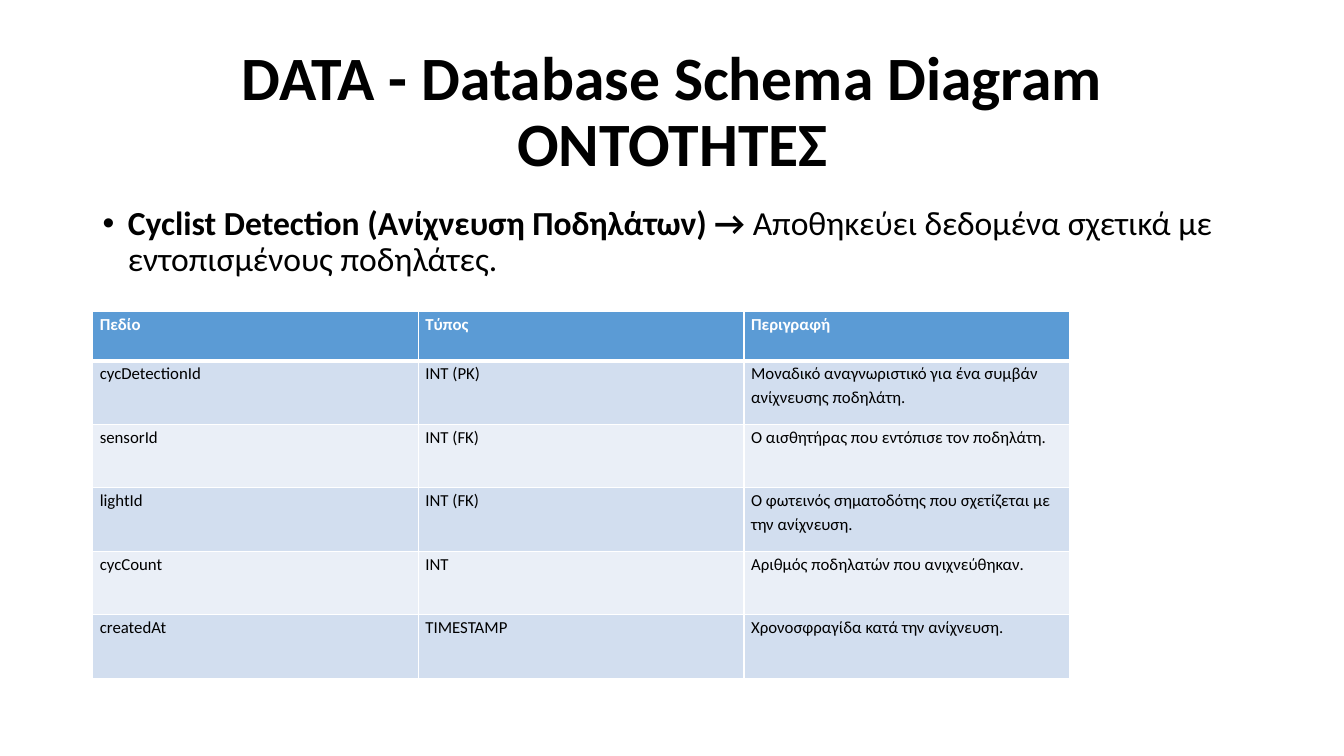
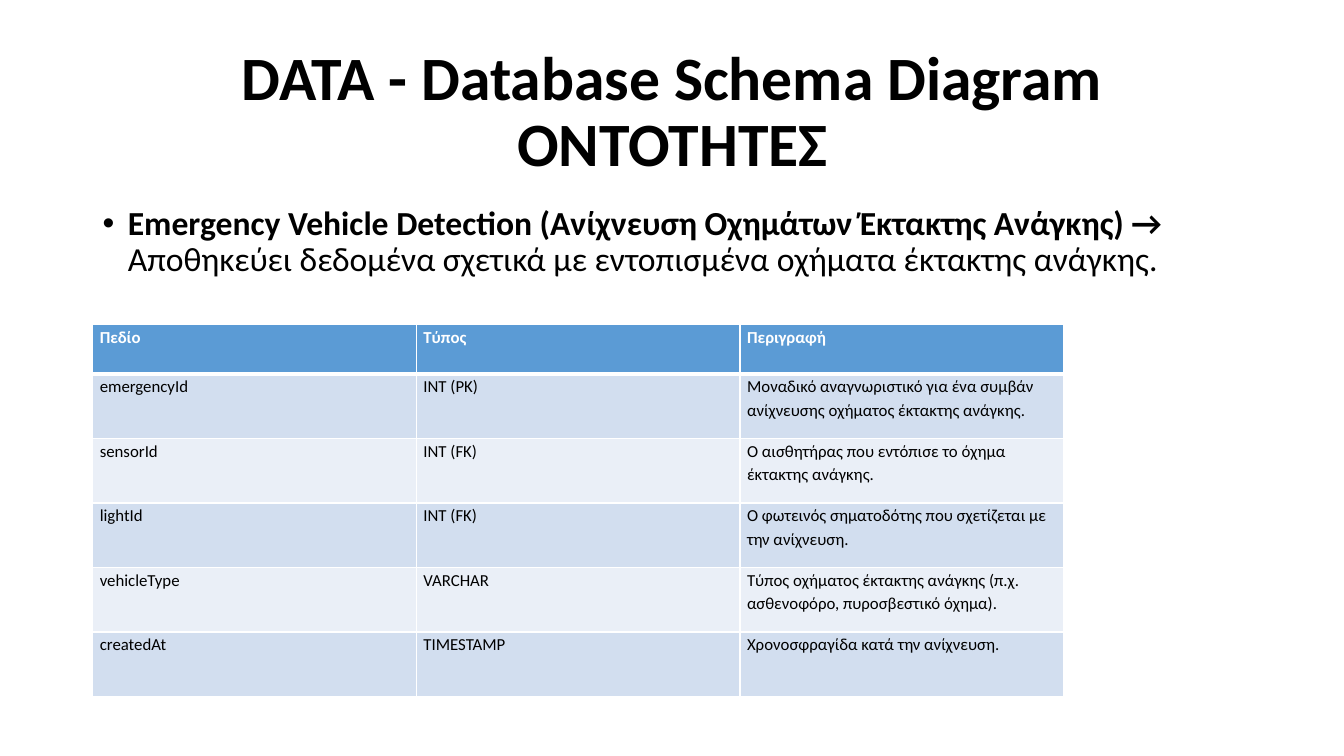
from dataclasses import dataclass

from lxml import etree
from pptx import Presentation
from pptx import util as u
from pptx.dml.color import RGBColor
from pptx.enum import text
from pptx.oxml import ns

TITLE = ("DATA - Database Schema Diagram", "ΟΝΤΟΤΗΤΕΣ")
HEADER = ("Πεδίο", "Τύπος", "Περιγραφή")
LIGHT_ROW = ("lightId", "INT (FK)", "Ο φωτεινός σηματοδότης που σχετίζεται με την ανίχνευση.")
CREATED_ROW = ("createdAt", "TIMESTAMP", "Χρονοσφραγίδα κατά την ανίχνευση.")

ENTITIES = [
    {
        "name": "Cyclist Detection (Ανίχνευση Ποδηλάτων) → ",
        "purpose": "Αποθηκεύει δεδομένα σχετικά με εντοπισμένους ποδηλάτες.",
        "table_top": 3.09, "column": 3.23, "row": 0.63,
        "fields": [
            ("cycDetectionId", "INT (PK)",
             "Μοναδικό αναγνωριστικό για ένα συμβάν ανίχνευσης ποδηλάτη."),
            ("sensorId", "INT (FK)", "Ο αισθητήρας που εντόπισε τον ποδηλάτη."),
            LIGHT_ROW,
            ("cycCount", "INT", "Αριθμός ποδηλατών που ανιχνεύθηκαν."),
            CREATED_ROW,
        ],
    },
    {
        "name": "Emergency Vehicle Detection (Ανίχνευση Οχημάτων Έκτακτης Ανάγκης) → ",
        "purpose": "Αποθηκεύει δεδομένα σχετικά με εντοπισμένα οχήματα έκτακτης ανάγκης.",
        "table_top": 3.22, "column": 3.21, "row": 0.64,
        "fields": [
            ("emergencyId", "INT (PK)",
             "Μοναδικό αναγνωριστικό για ένα συμβάν ανίχνευσης οχήματος έκτακτης ανάγκης."),
            ("sensorId", "INT (FK)", "Ο αισθητήρας που εντόπισε το όχημα έκτακτης ανάγκης."),
            LIGHT_ROW,
            ("vehicleType", "VARCHAR",
             "Τύπος οχήματος έκτακτης ανάγκης (π.χ. ασθενοφόρο, πυροσβεστικό όχημα)."),
            CREATED_ROW,
        ],
    },
]


@dataclass(frozen=True)
class Theme:
    font: str = "Calibri"
    ink: str = "000000"
    paper: str = "FFFFFF"
    header: str = "5B9BD5"
    bands: tuple = ("D2DEEF", "EAEFF7")
    title_size: int = 44
    body_size: int = 24
    cell_size: int = 12
    thin: int = 1
    thick: int = 3


THEME = Theme()
SLIDE_WIDTH, SLIDE_HEIGHT = 13.33, 7.5
MARGIN = 0.92
CONTENT_WIDTH = 11.5
TITLE_TOP, TITLE_HEIGHT = 0.4, 1.45
BODY_TOP, BODY_HEIGHT = 2, 0.85
HEADER_HEIGHT = 0.49
CELL_INSET = 0.07
INDENT = 0.25


def add_span(para, words, size, color=THEME.ink, bold=False):
    span = para.add_run()
    span.text = words
    span.font.name = THEME.font
    span.font.size = u.Pt(size)
    span.font.bold = bold
    span.font.color.rgb = RGBColor.from_string(color)


def place(box, top, height):
    """Set a box across the content width."""
    box.left, box.top = u.Inches(MARGIN), u.Inches(top)
    box.width, box.height = u.Inches(CONTENT_WIDTH), u.Inches(height)


def add_title(page):
    box = page.shapes.title
    place(box, TITLE_TOP, TITLE_HEIGHT)
    frame = box.text_frame
    frame.auto_size = text.MSO_AUTO_SIZE.NONE
    frame.vertical_anchor = text.MSO_ANCHOR.MIDDLE
    para = frame.paragraphs[0]
    para.alignment = text.PP_ALIGN.CENTER
    para.line_spacing = 0.9
    for number, line in enumerate(TITLE):
        if number:
            para.add_line_break()
        add_span(para, line, THEME.title_size, bold=True)


def add_bullet(para):
    properties = para._p.get_or_add_pPr()
    properties.set("marL", str(u.Inches(INDENT)))
    properties.set("indent", str(-u.Inches(INDENT)))
    etree.SubElement(properties, ns.qn("a:buFont"), typeface="Arial")
    etree.SubElement(properties, ns.qn("a:buChar"), char="•")


def add_summary(page, entity):
    box = page.shapes.add_textbox(0, 0, 0, 0)
    place(box, BODY_TOP, BODY_HEIGHT)
    box.text_frame.word_wrap = True
    para = box.text_frame.paragraphs[0]
    para.line_spacing = 0.9
    para.space_before = u.Pt(10)
    add_bullet(para)
    add_span(para, entity["name"], THEME.body_size, bold=True)
    add_span(para, entity["purpose"], THEME.body_size)


def set_borders(cell, top, bottom):
    properties = cell._tc.get_or_add_tcPr()
    widths = {"L": THEME.thin, "R": THEME.thin, "T": top, "B": bottom}
    for side, width in widths.items():
        line = etree.SubElement(properties, ns.qn(f"a:ln{side}"), w=str(u.Pt(width)))
        fill = etree.SubElement(line, ns.qn("a:solidFill"))
        etree.SubElement(fill, ns.qn("a:srgbClr"), val=THEME.paper)


def format_cell(cell, words, row):
    is_header = row == 0
    set_borders(cell,
                top=THEME.thick if row == 1 else THEME.thin,
                bottom=THEME.thick if is_header else THEME.thin)
    fill = THEME.header if is_header else THEME.bands[(row - 1) % 2]
    cell.fill.solid()
    cell.fill.fore_color.rgb = RGBColor.from_string(fill)
    cell.margin_left = cell.margin_right = u.Inches(CELL_INSET)
    cell.margin_top = cell.margin_bottom = 0
    para = cell.text_frame.paragraphs[0]
    para.line_spacing = 1.15
    color = THEME.paper if is_header else THEME.ink
    add_span(para, words, THEME.cell_size, color, bold=is_header)


def add_fields(page, entity):
    rows = [HEADER, *entity["fields"]]
    heights = [HEADER_HEIGHT] + [entity["row"]] * len(entity["fields"])
    table = page.shapes.add_table(
        len(rows), len(HEADER), u.Inches(MARGIN), u.Inches(entity["table_top"]),
        u.Inches(entity["column"] * len(HEADER)), u.Inches(sum(heights))).table
    for column in table.columns:
        column.width = u.Inches(entity["column"])
    for row, (values, height) in enumerate(zip(rows, heights)):
        table.rows[row].height = u.Inches(height)
        for column, words in enumerate(values):
            format_cell(table.cell(row, column), words, row)


def main():
    deck = Presentation()
    deck.slide_width, deck.slide_height = u.Inches(SLIDE_WIDTH), u.Inches(SLIDE_HEIGHT)
    title_only = deck.slide_layouts[5]
    for entity in ENTITIES:
        page = deck.slides.add_slide(title_only)
        add_title(page)
        add_summary(page, entity)
        add_fields(page, entity)
    deck.save("out.pptx")


if __name__ == "__main__":
    main()
